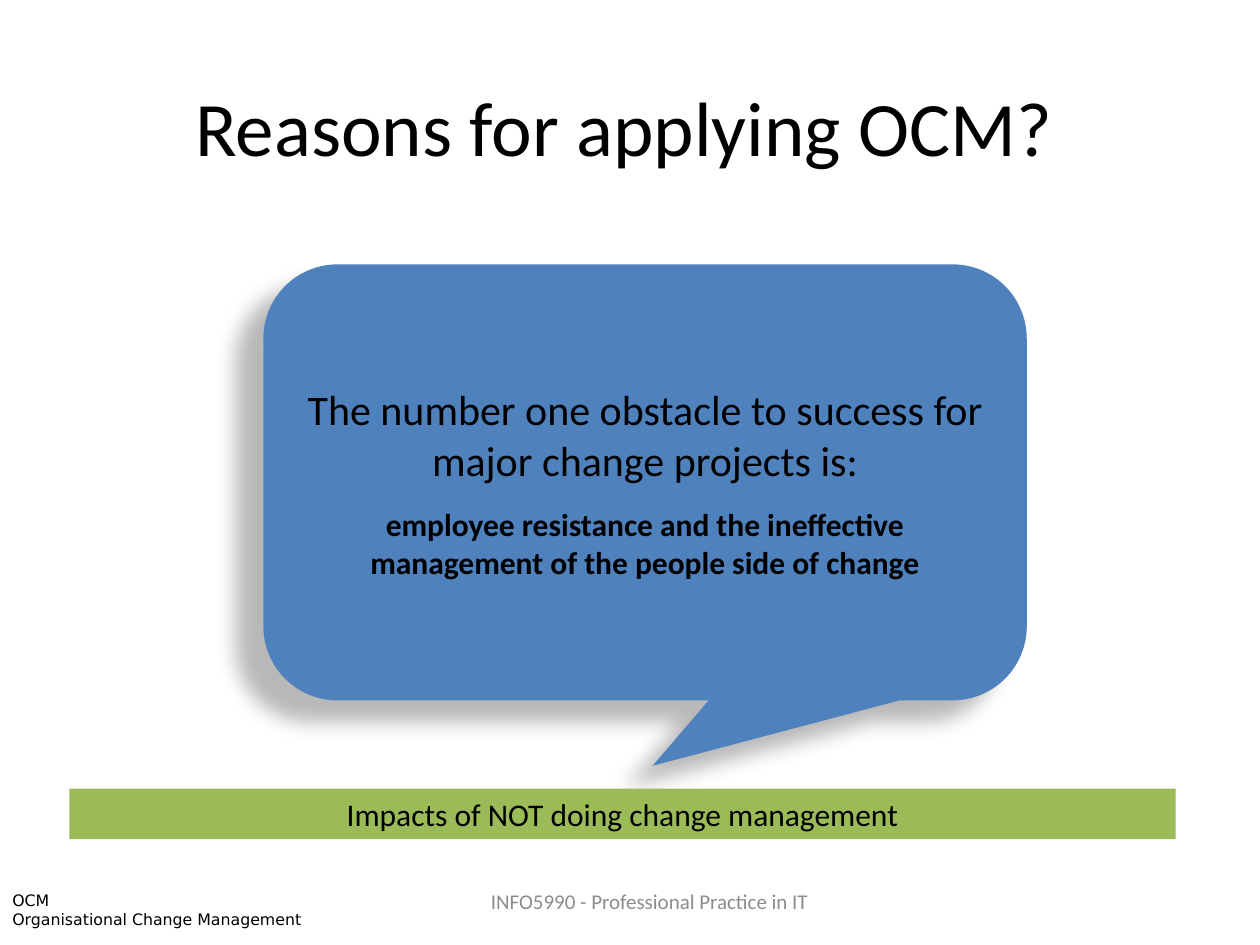
from lxml import etree
from pptx import Presentation
from pptx.dml.color import RGBColor
from pptx.enum.shapes import MSO_SHAPE
from pptx.enum.text import MSO_ANCHOR, PP_ALIGN
from pptx.oxml.ns import qn
from pptx.util import Cm, Pt

BLACK = RGBColor(0x00, 0x00, 0x00)
GREY = RGBColor(0x8C, 0x8C, 0x8C)
BLUE = RGBColor(0x4F, 0x81, 0xBD)
GREEN = RGBColor(0x9B, 0xBB, 0x59)
CENTER, LEFT = PP_ALIGN.CENTER, PP_ALIGN.LEFT
MIDDLE, TOP = MSO_ANCHOR.MIDDLE, MSO_ANCHOR.TOP
CALLOUT, RECTANGLE = MSO_SHAPE.ROUNDED_RECTANGULAR_CALLOUT, MSO_SHAPE.RECTANGLE


class SlideBuilder:
    """Holds the text style and the slide, and adds each kind of element."""

    font_name = "Calibri"
    text_color = BLACK

    def __init__(self, slide):
        self.slide = slide

    def fill_text(self, shape, lines, align=CENTER, anchor=MIDDLE, font_name=None,
                  color=None, space_after=0, wrap=True):
        frame = shape.text_frame
        frame.word_wrap = wrap
        frame.vertical_anchor = anchor
        for index, (text, size, bold) in enumerate(lines):
            paragraph = frame.add_paragraph() if index else frame.paragraphs[0]
            paragraph.text = text
            paragraph.alignment = align
            paragraph.space_after = Pt(space_after)
            paragraph.font.name = font_name or self.font_name
            paragraph.font.size = Pt(size)
            paragraph.font.bold = bold
            paragraph.font.color.rgb = color or self.text_color

    def text(self, left, top, width, height, lines, **style):
        box = self.slide.shapes.add_textbox(Cm(left), Cm(top), Cm(width), Cm(height))
        self.fill_text(box, lines, **style)

    def shape(self, kind, left, top, width, height, fill, lines, **style):
        shape = self.slide.shapes.add_shape(kind, Cm(left), Cm(top), Cm(width), Cm(height))
        shape.shadow.inherit = False
        shape.fill.solid()
        shape.fill.fore_color.rgb = fill
        shape.line.fill.background()
        self.fill_text(shape, lines, **style)
        return shape

    def callout(self, left, top, width, height, fill, lines, tip, **style):
        shape = self.shape(CALLOUT, left, top, width, height, fill, lines, **style)
        for index, value in enumerate(tip):
            shape.adjustments[index] = value
        self.shadow(shape, blur=11.8, distance=19.7, angle=141, opacity=28)

    def shadow(self, shape, blur, distance, angle, opacity):
        effects = shape._element.spPr.find(qn("a:effectLst"))
        outer = etree.SubElement(
            effects, qn("a:outerShdw"), blurRad=str(Pt(blur)), dist=str(Pt(distance)),
            dir=str(angle * 60000), algn="tl", rotWithShape="0")
        color = etree.SubElement(outer, qn("a:srgbClr"), val=str(BLACK))
        etree.SubElement(color, qn("a:alpha"), val=str(opacity * 1000))


def main():
    presentation = Presentation()
    presentation.slide_width, presentation.slide_height = Cm(25.4), Cm(19.05)
    builder = SlideBuilder(presentation.slides.add_slide(presentation.slide_layouts[6]))

    builder.text(1.47, 0.84, 22.23, 3.38, [("Reasons for applying OCM?", 44, False)])
    builder.text(8.69, 17.65, 8.81, 1.02,
                 [("INFO5990 - Professional Practice in IT", 12, False)], color=GREY)
    builder.callout(
        5.31, 5.33, 15.39, 8.79, BLUE,
        [("The number one obstacle to success for major change projects is:", 24, False),
         ("employee resistance and the ineffective management of the people side of change",
          18, True)],
        tip=(0.01, 0.65, 0.17), space_after=12)
    builder.shape(RECTANGLE, 1.4, 15.9, 22.3, 1.02, GREEN,
                  [("Impacts of NOT doing change management", 18, False)], anchor=TOP)
    builder.text(0, 17.83, 6.38, 1.02,
                 [("OCM", 9, False), ("Organisational Change Management", 9, False)],
                 align=LEFT, anchor=TOP, font_name="DejaVu Sans", wrap=False)
    presentation.save("out.pptx")


if __name__ == "__main__":
    main()
